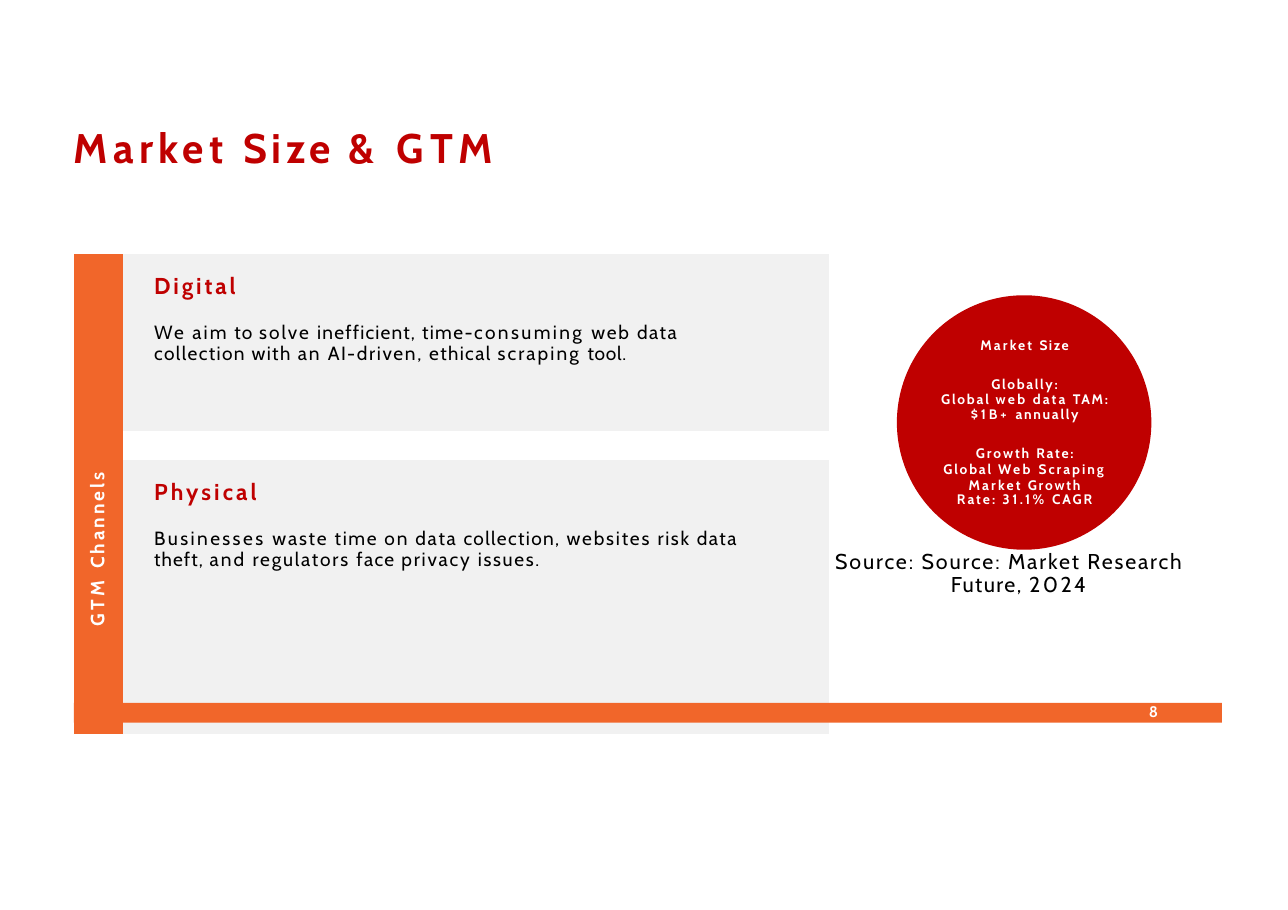
import pptx
import pptx.dml.color
import pptx.enum.shapes
import pptx.enum.text
import pptx.oxml.ns
import pptx.util
from lxml import etree
from pptx.util import Inches

RED, ORANGE, GREY, WHITE, BLACK = "BF0000", "F1662A", "F1F1F1", "FFFFFF", "000000"
LEFT, CENTER, RIGHT = (
    pptx.enum.text.PP_ALIGN.LEFT,
    pptx.enum.text.PP_ALIGN.CENTER,
    pptx.enum.text.PP_ALIGN.RIGHT,
)
PLAIN_TABLE_STYLE = "{2D5ABB26-0587-4C30-8999-92F81FD0307C}"
TITLE = [("Market ", 3.5), ("Size ", 2.8), ("& ", 4.2), ("GTM", 3.9)]
CHANNELS = [
    (0, [("Digital", 1.9)], [
        ("We aim", 1.4), (" to ", 0.8), ("solve ", 1.3), ("inefficient, ", 0.8),
        ("time-", 0.9), ("consuming ", 1.6), ("web ", 1.2), ("data ", 1),
        ("collection with ", 0.9), ("an ", 1.3), ("AI-", 0.9), ("driven, ", 1.1),
        ("ethical ", 0.9), ("scraping ", 1.4), ("tool.", 0.5)]),
    (2, [("Physical", 2)], [
        ("Businesses ", 1.6), ("waste ", 1.2), ("time ", 1.1), ("on data", 1.2),
        (" collection, ", 0.9), ("websites ", 1.2), ("risk ", 1.1), ("data ", 1),
        ("theft, ", 0.7), ("and", 1.4), (" regulators ", 1.2), ("face ", 0.9),
        ("privacy ", 1.2), ("issues.", 1.1)]),
]
MARKET_LINES = [
    ([("Market ", 1.4), ("Size", 1)], 0, None),
    ([("Globally:", 1.1)], 15.2, 10.2),
    ([("Global ", 1.2), ("web ", 1.5), ("data ", 1.4), ("TAM:", 1.1)], 0, 9.6),
    ([("$1B+ ", 1.9), ("annually", 1.1)], 0, 10.2),
    ([("Growth ", 1.3), ("Rate:", 1.1)], 15.3, 10.2),
    ([("Global ", 1.2), ("Web ", 1.6), ("Scraping ", 1.3), ("Market ", 1.4),
      ("Growth", 1.2)], 0.2, 10.2),
    ([("Rate: ", 1.3), ("31.1% ", 1.6), ("CAGR", 1.2)], 0, 9.4),
]
SOURCE = [("Source: Source: Market Research ", 1.2), ("Future, ", 0.9), ("2024", 1.6)]


def rgb(color):
    """Turn a hex string into a colour."""
    return pptx.dml.color.RGBColor.from_string(color)


def paint(target, color):
    """Fill a shape or cell with one solid colour."""
    target.fill.solid()
    target.fill.fore_color.rgb = rgb(color)


def set_margins(target, left=0, top=0, right=0, bottom=0):
    """Set the inner margins of a cell or text frame in inches."""
    target.margin_left, target.margin_top = Inches(left), Inches(top)
    target.margin_right, target.margin_bottom = Inches(right), Inches(bottom)


def write(paragraph, tracked_words, size, color, bold=False, align=LEFT,
          before=0, line=None, indent=0, first=0):
    """Write one paragraph from pairs of wording and letter spacing."""
    for text, tracking in tracked_words:
        run = paragraph.add_run()
        run.text = text
        run._r.get_or_add_rPr().set("spc", str(round(tracking * 100)))
    properties = paragraph._p.get_or_add_pPr()
    properties.set("marL", str(Inches(indent)))
    properties.set("indent", str(Inches(first)))
    paragraph.alignment = align
    paragraph.space_before = pptx.util.Pt(before)
    if line:
        paragraph.line_spacing = pptx.util.Pt(line)
    font = paragraph.font
    font.name, font.size, font.bold = "Cabin", pptx.util.Pt(size), bold
    font.color.rgb = rgb(color)


def prepare_frame(frame, top=0, right=0):
    """Make a text frame wrap from its top edge."""
    frame.word_wrap = True
    frame.vertical_anchor = pptx.enum.text.MSO_ANCHOR.TOP
    set_margins(frame, top=top, right=right)
    return frame


def add_text_box(slide, left, top, width, height, inset):
    """Add an empty text box and return its frame."""
    box = slide.shapes.add_textbox(Inches(left), Inches(top), Inches(width), Inches(height))
    return prepare_frame(box.text_frame, inset)


def add_filled_shape(slide, kind, left, top, width, height, color):
    """Add a flat preset shape without outline."""
    shape = slide.shapes.add_shape(kind, Inches(left), Inches(top), Inches(width), Inches(height))
    shape.shadow.inherit = False
    paint(shape, color)
    shape.line.fill.background()
    return shape


def add_title(slide):
    """Place and format the title."""
    title = slide.shapes.title
    title.left, title.top = Inches(0.66), Inches(1.1)
    title.width, title.height = Inches(4.11), Inches(0.48)
    frame = prepare_frame(title.text_frame, 0.01)
    write(frame.paragraphs[0], TITLE, 27, RED, bold=True, indent=0.01)


def add_channel_table(slide):
    """Add the table of go-to-market channels."""
    widths, heights = [0.45, 6.4], [1.6, 0.27, 2.48]
    table = slide.shapes.add_table(3, 2, Inches(0.67), Inches(2.31),
                                   Inches(sum(widths)), Inches(sum(heights))).table
    table.first_row = table.horz_banding = False
    table._tbl.tblPr.find(pptx.oxml.ns.qn("a:tableStyleId")).text = PLAIN_TABLE_STYLE
    for column, width in zip(table.columns, widths):
        column.width = Inches(width)
    for row, height in zip(table.rows, heights):
        row.height = Inches(height)

    heading = table.cell(0, 0)
    heading.merge(table.cell(2, 0))
    paint(heading, ORANGE)
    set_margins(heading, top=0.11)
    heading._tc.get_or_add_tcPr().set("vert", "vert270")
    write(heading.text_frame.paragraphs[0], [("GTM ", 2.4), ("Channels", 1.9)], 12.5, WHITE,
          bold=True, indent=0.98)

    gap = table.cell(1, 1)
    gap.fill.background()
    set_margins(gap)
    gap_paragraph = gap.text_frame.paragraphs[0]._p
    etree.SubElement(gap_paragraph, pptx.oxml.ns.qn("a:endParaRPr"), sz="500")

    for row, name, description in CHANNELS:
        cell = table.cell(row, 1)
        paint(cell, GREY)
        set_margins(cell, left=0.28, top=0.16, right=0.6)
        frame = cell.text_frame
        write(frame.paragraphs[0], name, 15, RED, bold=True)
        write(frame.add_paragraph(), description, 12.5, BLACK, before=14.6, line=14.1)


def add_market_size(slide):
    """Add the market size circle, its figures and the source."""
    add_filled_shape(slide, pptx.enum.shapes.MSO_SHAPE.OVAL, 8.14, 2.68, 2.31, 2.31, RED)
    figures = add_text_box(slide, 8.46, 3.05, 1.68, 1.57, 0.01)
    for index, (words, before, line) in enumerate(MARKET_LINES):
        paragraph = figures.add_paragraph() if index else figures.paragraphs[0]
        write(paragraph, words, 9, WHITE, bold=True, align=CENTER, before=before, line=line)
    source = add_text_box(slide, 7.57, 4.95, 3.45, 0.48, 0.04)
    write(source.paragraphs[0], SOURCE, 14, BLACK, line=15.4, indent=1.06, first=-1.05)


def add_footer(slide):
    """Add the footer bar with the page number."""
    bar = add_filled_shape(slide, pptx.enum.shapes.MSO_SHAPE.RECTANGLE,
                           0.67, 6.38, 10.42, 0.18, ORANGE)
    frame = prepare_frame(bar.text_frame, right=0.58)
    write(frame.paragraphs[0], [("8", 0.7)], 10, WHITE, bold=True, align=RIGHT, line=11.6)


def main():
    """Build and save the slide."""
    deck = pptx.Presentation()
    deck.slide_width, deck.slide_height = Inches(11.69), Inches(8.26)
    slide = deck.slides.add_slide(deck.slide_layouts[5])
    add_channel_table(slide)
    add_market_size(slide)
    add_title(slide)
    add_footer(slide)
    deck.save("out.pptx")


if __name__ == "__main__":
    main()
